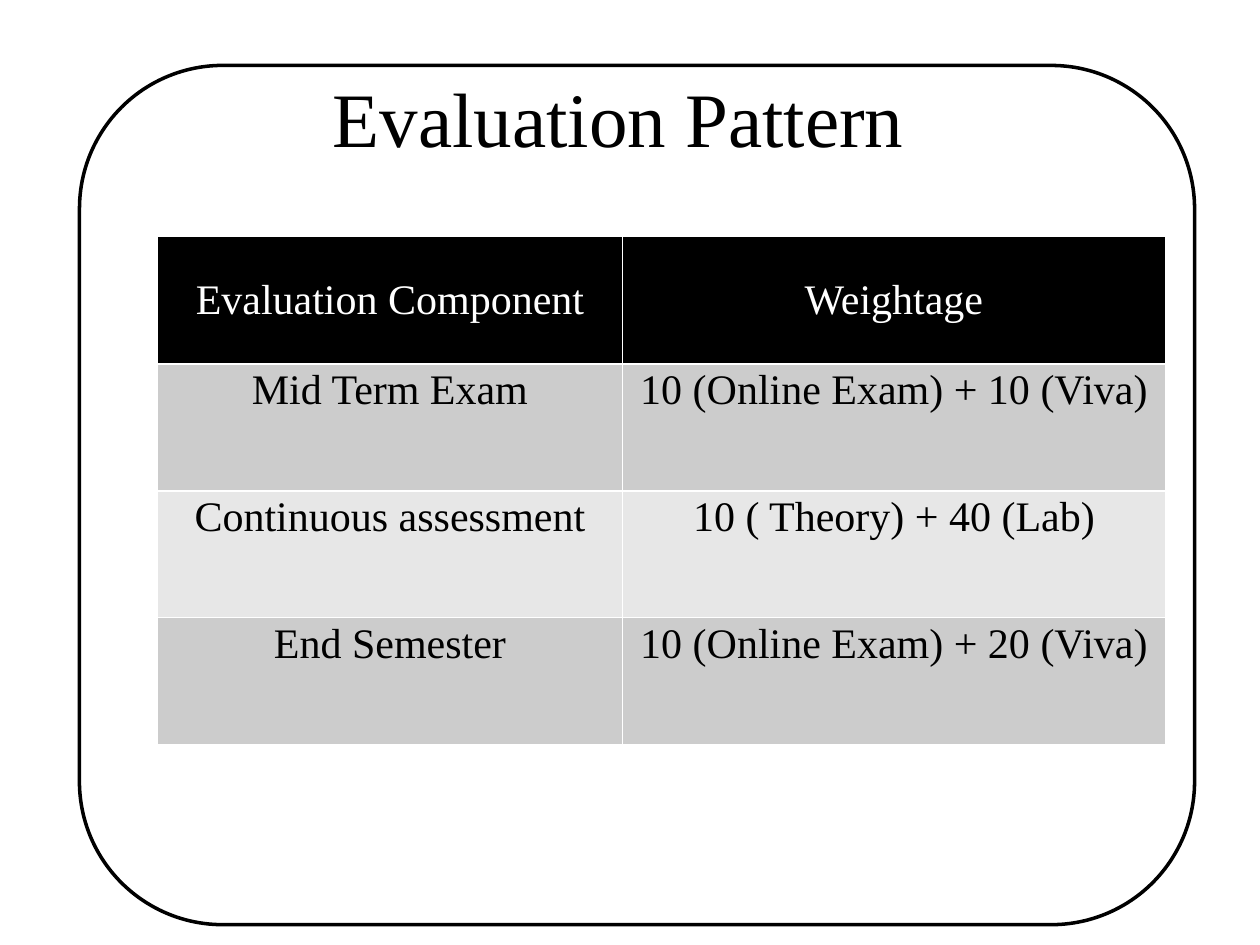
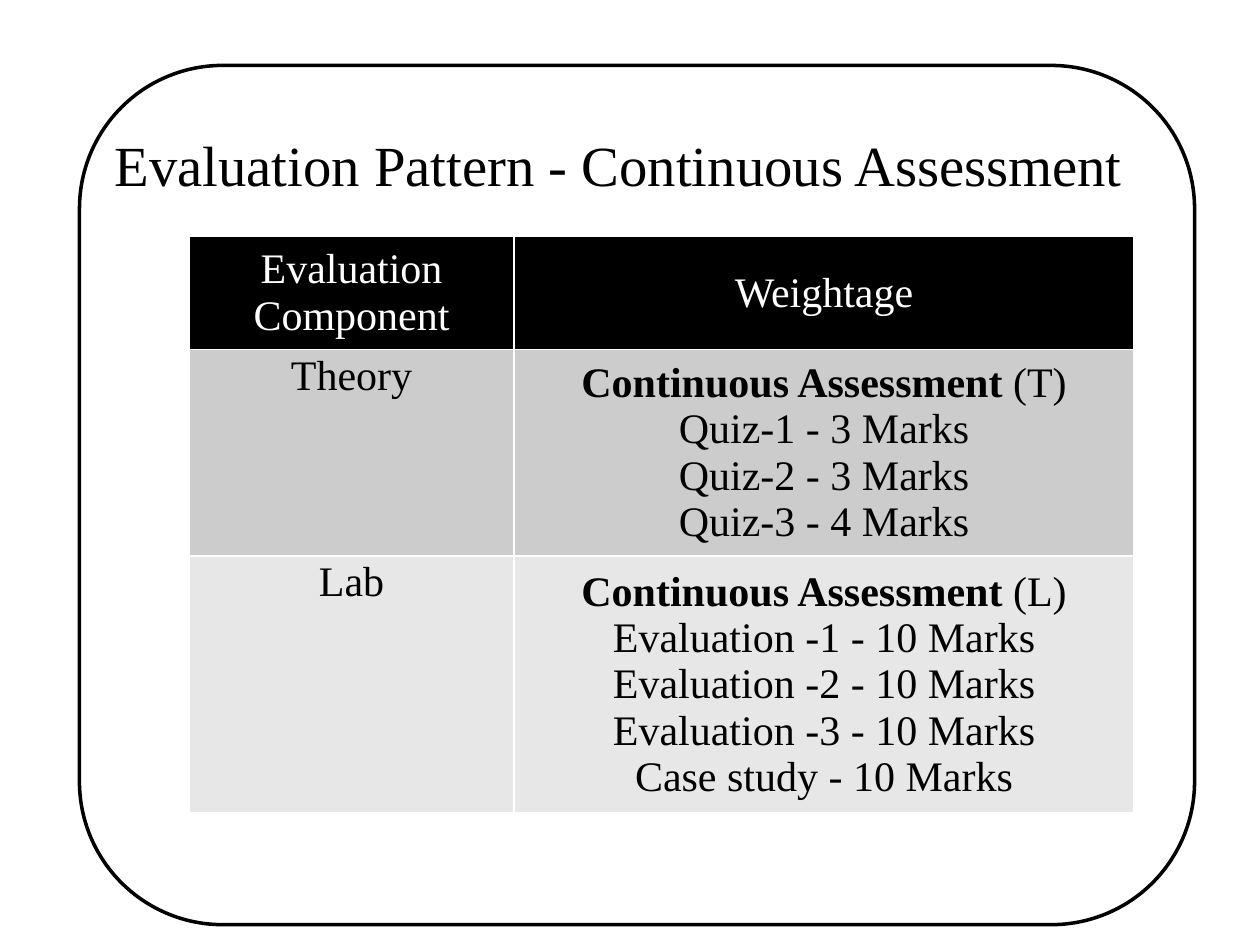
"""Build two slides that show how a course is marked."""
from dataclasses import dataclass

from lxml.etree import SubElement
from pptx import Presentation
from pptx.dml.color import RGBColor
from pptx.enum.shapes import MSO_SHAPE
from pptx.enum.text import MSO_ANCHOR, PP_ALIGN
from pptx.oxml.ns import qn
from pptx.util import Pt

HEAD = ("Evaluation Component", "Weightage")
LEAD = "Continuous Assessment"

SLIDES = [
    {
        "title": "Evaluation Pattern",
        "size": 44,
        "mid": 66.6,
        "left": 90,
        "cols": (265.7, 310.3),
        "heights": (73, 72.5, 72.5, 72.5),
        "rows": [
            ("Mid Term Exam", "10 (Online Exam) + 10 (Viva)"),
            ("Continuous assessment", "10 ( Theory) + 40 (Lab)"),
            ("End Semester", "10 (Online Exam) + 20 (Viva)"),
        ],
    },
    {
        "title": "Evaluation Pattern - Continuous Assessment",
        "size": 32.4,
        "mid": 93.5,
        "left": 108,
        "cols": (185.8, 354.2),
        "heights": (64.8, 109.7, 136),
        "rows": [
            ("Theory", [
                LEAD + " (T)",
                "Quiz-1 - 3 Marks",
                "Quiz-2 - 3 Marks",
                "Quiz-3 - 4 Marks",
            ]),
            ("Lab", [
                LEAD + " (L)",
                "Evaluation -1 - 10 Marks",
                "Evaluation -2 - 10 Marks",
                "Evaluation -3 - 10 Marks",
                "Case study - 10 Marks",
            ]),
        ],
    },
]


@dataclass(frozen=True)
class Theme:
    font: str = "Times New Roman"
    ink: str = "000000"
    paper: str = "FFFFFF"
    bands: tuple = ("CCCCCC", "E7E7E7")
    cell: float = 24
    rule: float = 1
    edge: float = 2


THEME = Theme()
FRAME = (45.4, 37.4, 637.2, 491)
TITLE = (43.5, 620, 76)
TOP = 135


def style(para, size, tint):
    para.alignment = PP_ALIGN.CENTER
    for run in para.runs:
        run.font.name = THEME.font
        run.font.size = Pt(size)
        run.font.bold = run.text == LEAD
        run.font.color.rgb = RGBColor.from_string(tint)


def pad(box, side, end):
    box.margin_left = box.margin_right = Pt(side)
    box.margin_top = box.margin_bottom = Pt(end)


def add_title(slide, text, size, mid):
    left, width, height = TITLE
    box = slide.shapes.add_textbox(
        Pt(left), Pt(mid - height / 2), Pt(width), Pt(height))
    frame = box.text_frame
    frame.word_wrap = True
    frame.vertical_anchor = MSO_ANCHOR.MIDDLE
    frame.text = text
    style(frame.paragraphs[0], size, THEME.ink)


def add_rules(cell):
    props = cell._tc.get_or_add_tcPr()
    for side in "LRTB":
        line = SubElement(props, qn(f"a:ln{side}"), w=str(Pt(THEME.rule)))
        fill = SubElement(line, qn("a:solidFill"))
        SubElement(fill, qn("a:srgbClr"), val=THEME.paper)


def fill_cell(cell, text, row):
    add_rules(cell)
    is_head, is_list = row == 0, isinstance(text, list)
    shade = THEME.ink if is_head else THEME.bands[(row - 1) % 2]
    cell.fill.solid()
    cell.fill.fore_color.rgb = RGBColor.from_string(shade)
    if is_head:
        pad(cell, 5, 3.6)
    elif is_list:
        pad(cell, 3.6, 1.4)
    else:
        pad(cell, 4.3, 0)
    centred = is_head or is_list
    cell.vertical_anchor = MSO_ANCHOR.MIDDLE if centred else MSO_ANCHOR.TOP
    cell.text_frame.text = "\n".join(text) if is_list else text
    for para in cell.text_frame.paragraphs:
        if para.text.startswith(LEAD):
            rest = para.text.removeprefix(LEAD)
            para.text = LEAD
            para.add_run().text = rest
        style(para, THEME.cell, THEME.paper if is_head else THEME.ink)
        if not centred:
            para.line_spacing = 1.07
            para.space_after = Pt(8)


def add_grid(slide, left, cols, heights, rows):
    rows = [HEAD, *rows]
    grid = slide.shapes.add_table(
        len(rows), len(cols), Pt(left), Pt(TOP),
        Pt(sum(cols)), Pt(sum(heights))).table
    for col, width in zip(grid.columns, cols):
        col.width = Pt(width)
    for num, (row, height) in enumerate(zip(rows, heights)):
        grid.rows[num].height = Pt(height)
        for cell, text in zip(grid.rows[num].cells, row):
            fill_cell(cell, text, num)


def add_frame(slide):
    shape = slide.shapes.add_shape(
        MSO_SHAPE.ROUNDED_RECTANGLE, *map(Pt, FRAME))
    shape.shadow.inherit = False
    shape.fill.background()
    shape.line.color.rgb = RGBColor.from_string(THEME.ink)
    shape.line.width = Pt(THEME.edge)


def main():
    deck = Presentation()
    deck.slide_width, deck.slide_height = Pt(720), Pt(540)
    for page in SLIDES:
        slide = deck.slides.add_slide(deck.slide_layouts[6])
        add_title(slide, page["title"], page["size"], page["mid"])
        add_grid(slide, page["left"], page["cols"],
                 page["heights"], page["rows"])
        add_frame(slide)
    deck.save("out.pptx")


if __name__ == "__main__":
    main()
